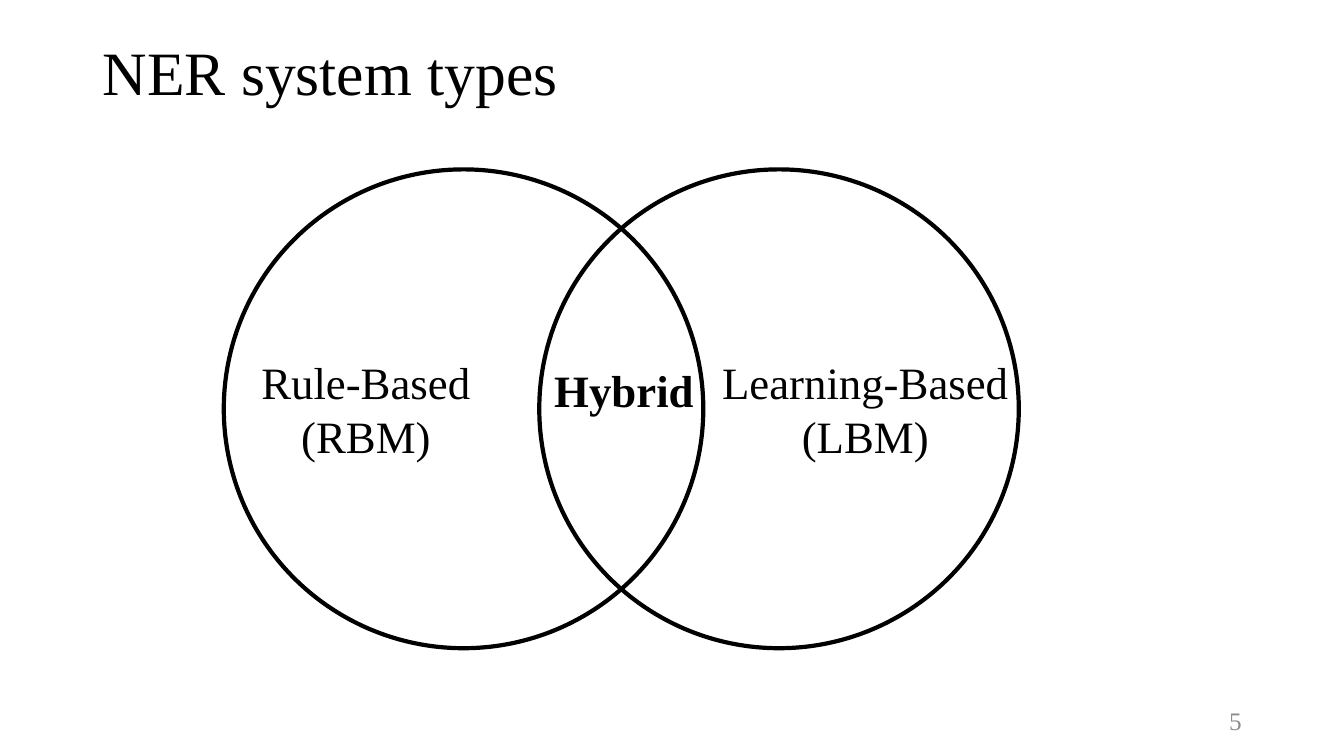
from pptx import Presentation
from pptx.dml.color import RGBColor
from pptx.enum.shapes import MSO_SHAPE
from pptx.enum.text import MSO_ANCHOR, PP_ALIGN
from pptx.util import Pt

OVAL = MSO_SHAPE.OVAL
TOP, MIDDLE = MSO_ANCHOR.TOP, MSO_ANCHOR.MIDDLE
LEFT, CENTER, RIGHT = PP_ALIGN.LEFT, PP_ALIGN.CENTER, PP_ALIGN.RIGHT


def color(value):
    return RGBColor.from_string(value)


def add_text(s, box, lines, size, align=LEFT, anchor=TOP, fill="000000", bold=False, spacing=1.0):
    tf = s.shapes.add_textbox(*map(Pt, box)).text_frame
    tf.word_wrap = True
    tf.vertical_anchor = anchor
    for i, line in enumerate(lines):
        p = tf.paragraphs[0] if i == 0 else tf.add_paragraph()
        p.alignment = align
        p.line_spacing = spacing
        r = p.add_run()
        r.text = line
        for name, value in {"name": "Times New Roman", "size": Pt(size), "bold": bold}.items():
            setattr(r.font, name, value)
        r.font.color.rgb = color(fill)


prs = Presentation()
prs.slide_width, prs.slide_height = Pt(960), Pt(540)
s = prs.slides.add_slide(prs.slide_layouts[6])

add_text(s, (678, 500.4, 216, 28.8), ["5"], 18, RIGHT, MIDDLE, "8C8C8C")
add_text(s, (66.24, 26.64, 833, 57.6), ["NER system types"], 44, spacing=0.9)

for left in (159.84, 385.2):
    circle = s.shapes.add_shape(OVAL, Pt(left), Pt(121), Pt(342.5), Pt(342))
    circle.shadow.inherit = False
    circle.fill.background()
    circle.line.color.rgb = color("000000")
    circle.line.width = Pt(3)

add_text(s, (388.8, 255.6, 117.36, 46), ["Hybrid"], 32, bold=True)
for left, width, lines in [
    (175.68, 171.36, ["Rule-Based", "(RBM)"]),
    (506.16, 223.92, ["Learning-Based", "(LBM)"]),
]:
    add_text(s, (left, 249.84, width, 85), lines, 32, CENTER)

prs.save("out.pptx")
